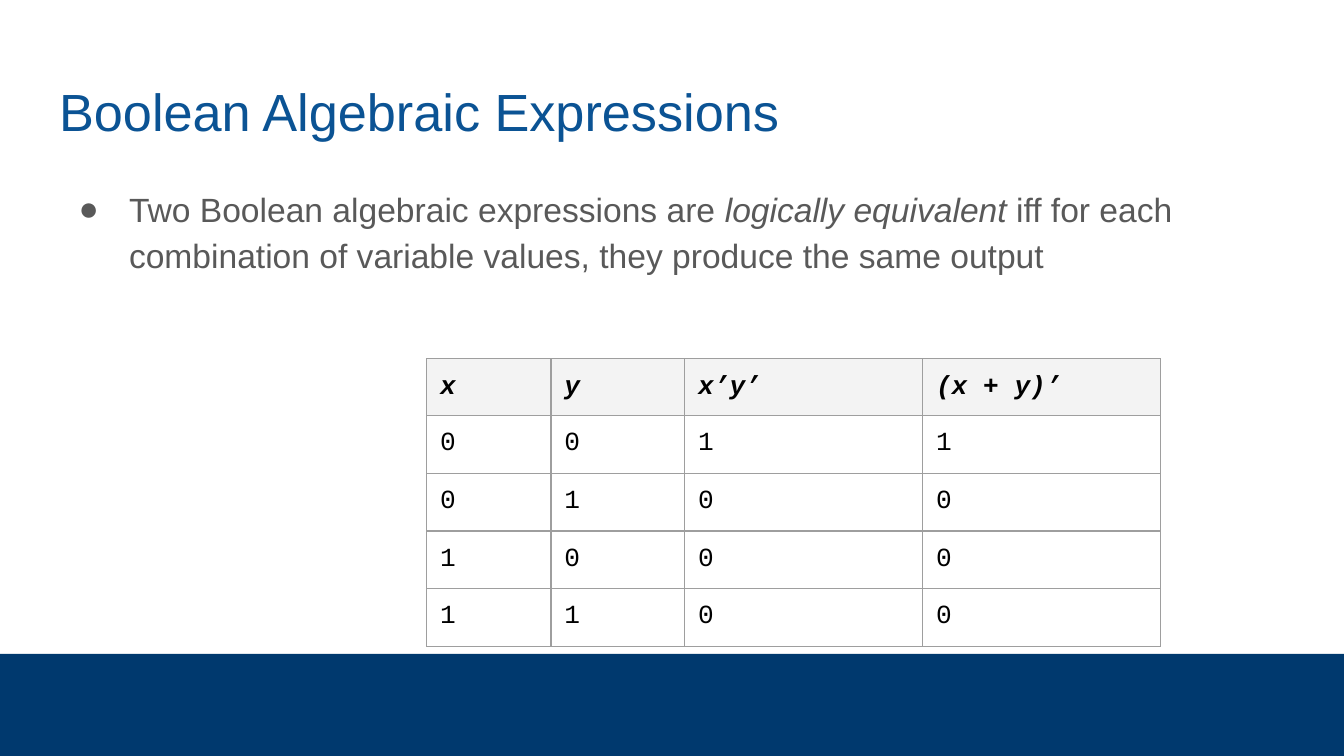
from dataclasses import dataclass

from lxml import etree
from pptx import Presentation
from pptx import util as u
from pptx.dml.color import RGBColor
from pptx.enum import shapes, text
from pptx.oxml import ns

PX = 4572  # EMU in one px, 200 px to the inch


@dataclass(frozen=True)
class Theme:
    title: str = "0B5394"
    body: str = "595959"
    cell: str = "000000"
    head: str = "F3F3F3"
    grid: str = "9E9E9E"
    bar: str = "00396E"
    sans: str = "Arial"
    mono: str = "Courier New"
    big: int = 28
    mid: int = 18
    small: int = 14
    inset: int = 20


def px(*vals):
    return [u.Emu(val * PX) for val in vals]


def assign(item, props):
    for name, val in props.items():
        setattr(item, name, val)


def add(parent, tag, **attrs):
    return etree.SubElement(parent, ns.qn(tag), attrs)


class Deck:
    def __init__(self, theme, wide, high):
        self.theme = theme
        self.prs = Presentation()
        assign(self.prs, dict(zip(("slide_width", "slide_height"), px(wide, high))))
        self.slide = self.prs.slides.add_slide(self.prs.slide_layouts[1])

    def pad(self, item):
        """Give a frame or a cell the same margin on all sides."""
        sides = ("left", "top", "right", "bottom")
        assign(item, {f"margin_{side}": px(self.theme.inset)[0] for side in sides})

    def style(self, font, face, size, color, **more):
        assign(font, dict(name=face, size=u.Pt(size), **more))
        font.color.rgb = RGBColor.from_string(color)

    def bar(self, *box):
        shape = self.slide.shapes.add_shape(shapes.MSO_SHAPE.RECTANGLE, *px(*box))
        shape.shadow.inherit = False
        shape.fill.solid()
        shape.fill.fore_color.rgb = RGBColor.from_string(self.theme.bar)
        shape.line.fill.background()

    def place(self, holder, box):
        """Move a placeholder and return its first paragraph."""
        assign(holder, dict(zip(("left", "top", "width", "height"), px(*box))))
        frame = holder.text_frame
        assign(frame, dict(word_wrap=True, auto_size=text.MSO_AUTO_SIZE.NONE,
                           vertical_anchor=text.MSO_ANCHOR.TOP))
        self.pad(frame)
        para = frame.paragraphs[0]
        assign(para, dict(alignment=text.PP_ALIGN.LEFT, space_before=u.Pt(0)))
        return para

    def title(self, words, *box):
        para = self.place(self.slide.shapes.title, box)
        run = para.add_run()
        run.text = words
        self.style(run.font, self.theme.sans, self.theme.big, self.theme.title)

    def bullet(self, runs, *box):
        """Fill the body with one bullet; runs are (words, italic) pairs."""
        look = self.theme
        para = self.place(self.slide.placeholders[1], box)
        para.line_spacing = 1.15
        left, hang = px(100, -75)
        props = para._p.get_or_add_pPr()
        props.set("marL", str(left))
        props.set("indent", str(hang))
        add(add(props, "a:buClr"), "a:srgbClr", val=look.body)
        add(props, "a:buFont", typeface=look.sans)
        add(props, "a:buChar", char="●")
        for words, slant in runs:
            run = para.add_run()
            run.text = words
            self.style(run.font, look.sans, look.mid, look.body, italic=slant)

    def border(self, cell):
        props = cell._tc.get_or_add_tcPr()
        for side in "LRTB":
            line = add(props, f"a:ln{side}", w=str(u.Pt(0.75)))
            add(add(line, "a:solidFill"), "a:srgbClr", val=self.theme.grid)

    def table(self, rows, left, top, widths, heights):
        look = self.theme
        box = px(left, top, sum(widths), sum(heights))
        table = self.slide.shapes.add_table(len(rows), len(widths), *box).table
        assign(table, dict(first_row=False, horz_banding=False))
        for col, wide in zip(table.columns, px(*widths)):
            col.width = wide
        for row, high in zip(table.rows, px(*heights)):
            row.height = high
        for r, row in enumerate(rows):
            for c, words in enumerate(row):
                cell, head = table.cell(r, c), r == 0
                self.pad(cell)
                self.border(cell)
                if head:
                    cell.fill.solid()
                    cell.fill.fore_color.rgb = RGBColor.from_string(look.head)
                else:
                    cell.fill.background()
                run = cell.text_frame.paragraphs[0].add_run()
                run.text = words
                self.style(run.font, look.mono, look.small, look.cell,
                           bold=head, italic=head)


def main():
    deck = Deck(Theme(), 2000, 1125)
    deck.bar(0, 973, 2000, 152)
    deck.title("Boolean Algebraic Expressions", 68, 98, 1864, 126)
    deck.bullet([
        ("Two Boolean algebraic expressions are ", False),
        ("logically equivalent", True),
        (" iff for each combination of variable values,"
         " they produce the same output", False),
    ], 72, 252, 1740, 238)
    truth = [("x", "y", "x’y’", "(x + y)’")]
    for x in (0, 1):
        for y in (0, 1):
            nor = str(int(not (x or y)))
            truth.append((str(x), str(y), nor, nor))
    deck.table(truth, 635, 534, [185, 199, 354, 354], [70] + [86] * 4)
    deck.prs.save("out.pptx")


if __name__ == "__main__":
    main()
